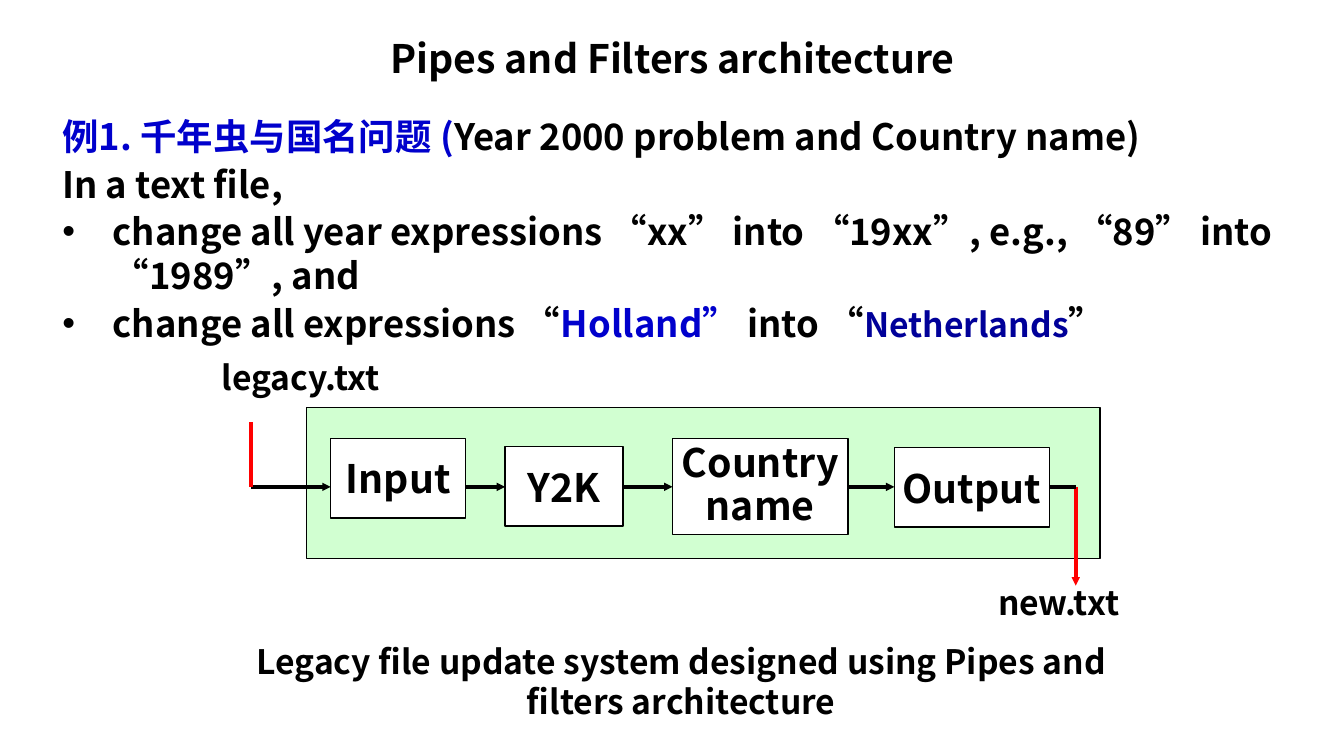
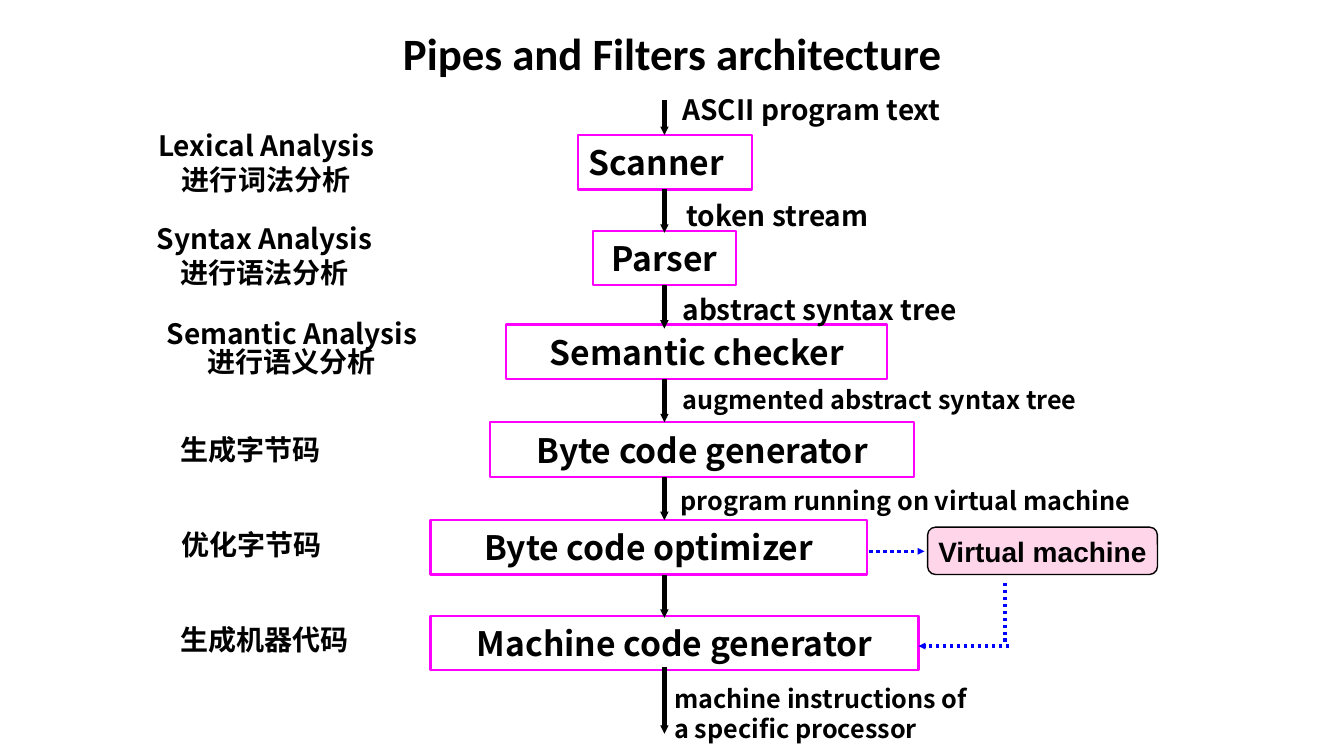
from dataclasses import dataclass, field
from typing import Any

import pptx
import pptx.dml.color
import pptx.enum.dml
import pptx.enum.shapes
import pptx.enum.text
import pptx.oxml
import pptx.oxml.ns
import pptx.util
from lxml import etree
from pptx.util import Inches

COLORS = {
    "black": "000000", "white": "FFFFFF", "green": "00FF00", "red": "FF0000",
    "magenta": "FF00FF", "pink": "FF99CC", "blue": "0000FF",
    "heading": "0000CC", "navy": "000099",
}
FONT = "Noto Sans CJK SC"
TITLE = "Pipes and Filters architecture"
CENTER = pptx.enum.text.PP_ALIGN.CENTER
LEFT = pptx.enum.text.PP_ALIGN.LEFT
MIDDLE = pptx.enum.text.MSO_ANCHOR.MIDDLE
RECT = pptx.enum.shapes.MSO_SHAPE.RECTANGLE
ROUNDED = pptx.enum.shapes.MSO_SHAPE.ROUNDED_RECTANGLE


@dataclass
class Span:
    text: str
    size: float
    color: str = "black"
    font: str = FONT


@dataclass
class Para:
    spans: list[Span]
    format: dict[str, Any] = field(default_factory=dict)
    bullet: bool = False


@dataclass
class Label:
    left: float
    top: float
    width: float
    height: float
    lines: list[str]
    size: float
    align: Any = LEFT
    spacing: float = 1.0
    font: str = FONT
    frame: dict[str, Any] = field(default_factory=dict)


@dataclass
class Box(Label):
    shape: Any = RECT
    fill: str = "white"
    alpha: int = 100
    line: str = "black"
    line_width: float = 1


@dataclass
class Arrow:
    start: tuple[float, float]
    end: tuple[float, float]
    color: str = "black"
    width: float = 3
    head: bool = True
    dotted: bool = False


def rgb(name: str) -> pptx.dml.color.RGBColor:
    return pptx.dml.color.RGBColor.from_string(COLORS[name])


def qn(tag: str) -> str:
    return pptx.oxml.ns.qn(tag)


def set_format(target: Any, values: dict[str, Any]) -> None:
    for name, value in values.items():
        setattr(target, name, value)


def add_bullet(paragraph: Any) -> None:
    properties = paragraph._p.get_or_add_pPr()
    properties.set("marL", str(Inches(0.5)))
    properties.set("indent", str(-Inches(0.5)))
    etree.SubElement(properties, qn("a:buFont"), typeface="Arial")
    etree.SubElement(properties, qn("a:buChar"), char="•")


def write(frame: Any, paras: list[Para]) -> None:
    for index, para in enumerate(paras):
        paragraph = frame.add_paragraph() if index else frame.paragraphs[0]
        if para.bullet:
            add_bullet(paragraph)
        set_format(paragraph, para.format)
        for span in para.spans:
            run = paragraph.add_run()
            run.text = span.text
            set_format(run.font, {"size": pptx.util.Pt(span.size), "bold": True,
                                  "name": span.font})
            run.font.color.rgb = rgb(span.color)
            etree.SubElement(run._r.get_or_add_rPr(), qn("a:ea"), typeface=span.font)


def label_paras(label: Label) -> list[Para]:
    style = {"alignment": label.align, "line_spacing": label.spacing}
    return [Para([Span(line, label.size, font=label.font)], style) for line in label.lines]


def bounds(label: Label) -> list[int]:
    return [Inches(value) for value in (label.left, label.top, label.width, label.height)]


def add_label(page: Any, label: Label) -> None:
    frame = page.shapes.add_textbox(*bounds(label)).text_frame
    set_format(frame, {"word_wrap": True, **label.frame})
    write(frame, label_paras(label))


def add_box(page: Any, box: Box) -> None:
    shape = page.shapes.add_shape(box.shape, *bounds(box))
    shape.shadow.inherit = False
    shape.fill.solid()
    shape.fill.fore_color.rgb = rgb(box.fill)
    if box.alpha < 100:
        color = shape._element.spPr.find(qn("a:solidFill"))[0]
        etree.SubElement(color, qn("a:alpha"), val=str(box.alpha * 1000))
    shape.line.color.rgb = rgb(box.line)
    shape.line.width = pptx.util.Pt(box.line_width)
    set_format(shape.text_frame, {"word_wrap": False, "vertical_anchor": MIDDLE, **box.frame})
    write(shape.text_frame, label_paras(box))


def add_arrow(page: Any, arrow: Arrow) -> None:
    points = [Inches(value) for value in (*arrow.start, *arrow.end)]
    connector = page.shapes.add_connector(
        pptx.enum.shapes.MSO_CONNECTOR.STRAIGHT, *points)
    connector.line.color.rgb = rgb(arrow.color)
    connector.line.width = pptx.util.Pt(arrow.width)
    if arrow.dotted:
        connector.line.dash_style = pptx.enum.dml.MSO_LINE.ROUND_DOT
    if arrow.head:
        etree.SubElement(connector.line._get_or_add_ln(), qn("a:tailEnd"),
                         type="triangle", w="sm", len="sm")
    etree.SubElement(connector._element.spPr, qn("a:effectLst"))


def add_page(deck: Any, title_top: float, title_size: float, title_font: str) -> Any:
    page = deck.slides.add_slide(deck.slide_layouts[6])
    add_label(page, Label(2.17, title_top, 9, 0.55, [TITLE], title_size, CENTER,
                          font=title_font))
    return page


def build_file_update(deck: Any) -> None:
    page = add_page(deck, 0.29, 28, FONT)
    gap = {"space_before": pptx.util.Pt(3)}
    example = page.shapes.add_textbox(Inches(0.52), Inches(1.08), Inches(12.56), Inches(2.42))
    example.text_frame.word_wrap = True
    write(example.text_frame, [
        Para([Span("例1. 千年虫与国名问题 (", 26, "heading"),
              Span("Year 2000 problem and Country name)", 26)]),
        Para([Span("In a text file,", 26)], gap),
        Para([Span("change all year expressions “xx” into “19xx”, e.g., “89” into "
                   "“1989”, and", 26)], gap, True),
        Para([Span("change all expressions “", 26), Span("Holland” ", 26, "heading"),
              Span("into “", 26), Span("Netherlands", 24, "navy"), Span("”", 26)], gap, True),
    ])

    add_box(page, Box(3.04, 4.04, 7.87, 1.5, [], 28, fill="green", alpha=18))
    filters = [
        Box(3.28, 4.35, 1.34, 0.79, ["Input"], 28, CENTER),
        Box(5.01, 4.43, 1.17, 0.79, ["Y2K"], 28, CENTER),
        Box(6.67, 4.35, 1.74, 0.95, ["Country", "name"], 28, CENTER, 0.9),
        Box(8.87, 4.44, 1.54, 0.79, ["Output"], 28, CENTER),
    ]
    for box in filters:
        add_box(page, box)

    pipe_y, source_x, target_x = 4.83, 2.49, 10.67
    pipes = [Arrow((before.left + before.width, pipe_y), (after.left, pipe_y))
             for before, after in zip(filters, filters[1:])]
    pipes += [
        Arrow((source_x, pipe_y), (filters[0].left, pipe_y)),
        Arrow((source_x, 4.19), (source_x, pipe_y), "red", 3.5, head=False),
        Arrow((target_x, pipe_y), (target_x, 5.81), "red"),
        Arrow((filters[-1].left + filters[-1].width, pipe_y), (target_x, pipe_y), head=False),
    ]
    for pipe in pipes:
        add_arrow(page, pipe)

    for label in (
        Label(2.1, 3.49, 1.89, 0.5, ["legacy.txt"], 24),
        Label(9.8, 5.72, 1.75, 0.5, ["new.txt"], 24),
        Label(2.34, 6.31, 8.83, 0.91,
              ["Legacy file update system designed using Pipes and filters architecture"],
              24, CENTER),
    ):
        add_label(page, label)


def build_compiler(deck: Any) -> None:
    page = add_page(deck, 0.21, 32, "Calibri")
    stage_rows = [
        ("Scanner", 5.73, 1.34, 1.73),
        ("Parser", 5.88, 2.29, 1.42),
        ("Semantic checker", 5.02, 3.22, 3.78),
        ("Byte code generator", 4.86, 4.19, 4.21),
        ("Byte code optimizer", 4.27, 5.16, 4.33),
        ("Machine code generator", 4.27, 6.11, 4.84),
    ]
    stages = [Box(left, top, width, 0.54, [name], 24, CENTER, line="magenta", line_width=1.5)
              for name, left, top, width in stage_rows]
    stages[0].frame = {"margin_right": Inches(0.27)}
    machine = Box(9.2, 5.23, 2.28, 0.47, ["Virtual machine"], 20, CENTER, font="Arial",
                  shape=ROUNDED, fill="pink", alpha=41)
    for box in (*stages, machine):
        add_box(page, box)

    flow_x, flow_length = 6.59, 0.43
    flows = [(0.99, stages[0].top), (6.62, 7.28)]
    flows += [(stage.top + stage.height, stage.top + stage.height + flow_length)
              for stage in stages[:-1]]
    for start, end in flows:
        add_arrow(page, Arrow((flow_x, start), (flow_x, end)))
    for start, end, head in (
        ((8.62, 5.47), (9.17, 5.47), True),
        ((10.01, 6.41), (9.11, 6.41), True),
        ((9.97, 5.78), (9.97, 6.37), False),
    ):
        add_arrow(page, Arrow(start, end, "blue", 2.5, head, dotted=True))

    data_labels = [
        Label(6.67, 0.87, 2.99, 0.43, ["ASCII program text"], 20),
        Label(6.71, 1.92, 2.08, 0.43, ["token stream"], 20),
        Label(6.67, 2.85, 3.15, 0.43, ["abstract syntax tree"], 20),
        Label(6.67, 3.76, 4.48, 0.4, ["augmented abstract syntax tree"], 18),
        Label(6.75, 4.77, 4.64, 0.4, ["program running on virtual machine"], 18,
              frame={"margin_left": 0, "margin_right": 0}),
        Label(6.59, 6.73, 3.27, 0.71, ["machine instructions of", "a specific processor"], 18),
    ]
    phase_labels = [
        Label(1.44, 1.23, 2.4, 0.77, ["Lexical Analysis", "进行词法分析"], 20, CENTER),
        Label(1.43, 2.15, 2.39, 0.77, ["Syntax Analysis", "进行语法分析"], 20, CENTER),
        Label(1.45, 3.14, 2.89, 0.67, ["Semantic Analysis", "进行语义分析"], 20, CENTER, 0.85),
        Label(1.69, 4.29, 1.61, 0.39, ["生成字节码"], 20, spacing=0.85),
        Label(1.61, 5.22, 1.77, 0.4, ["优化字节码"], 20, CENTER, 0.9),
        Label(1.69, 6.13, 2.13, 0.44, ["生成机器代码"], 20),
    ]
    for label in data_labels + phase_labels:
        add_label(page, label)


def main() -> None:
    deck = pptx.Presentation()
    set_format(deck, {"slide_width": Inches(13.33), "slide_height": Inches(7.5)})
    build_file_update(deck)
    build_compiler(deck)
    deck.save("out.pptx")


if __name__ == "__main__":
    main()
